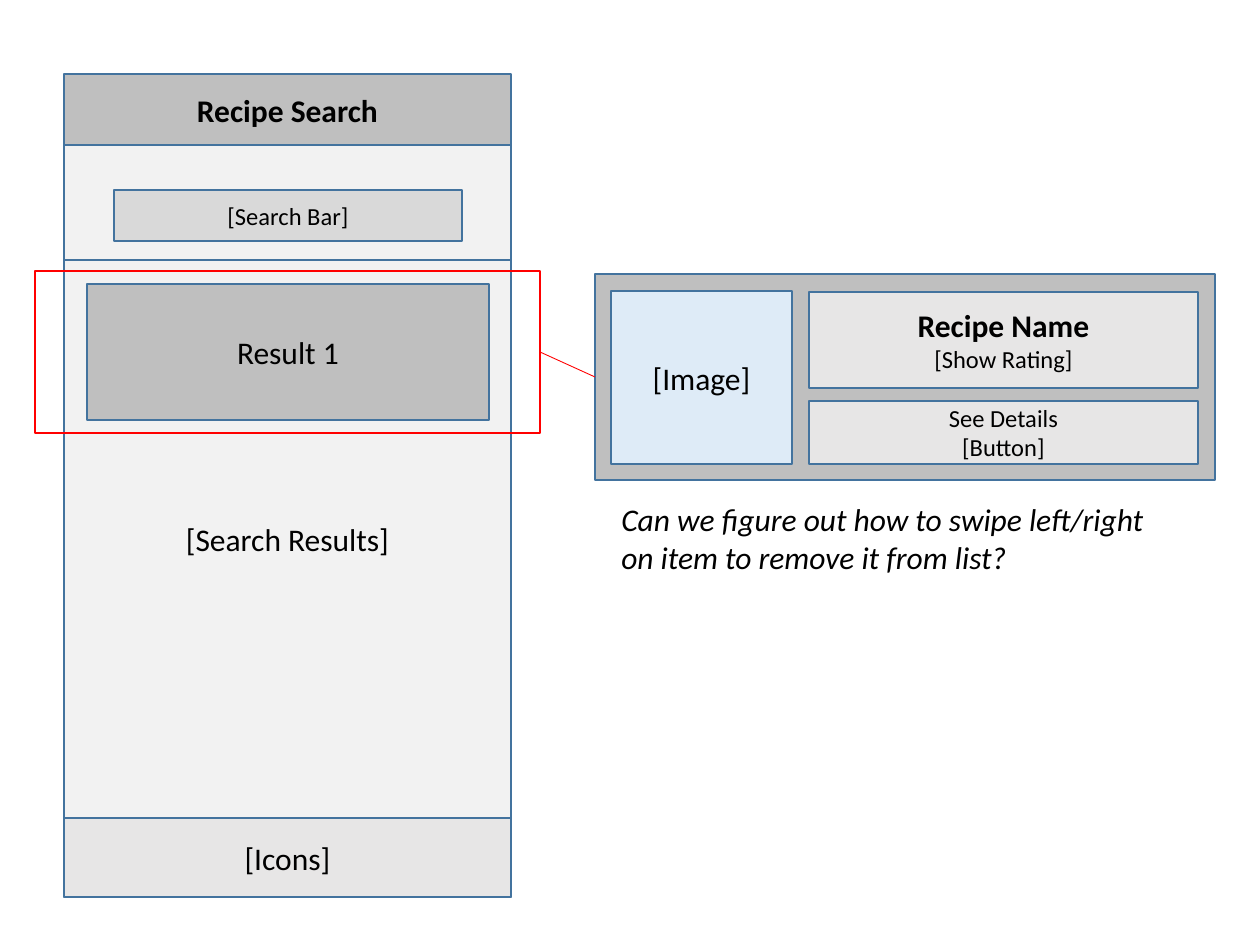
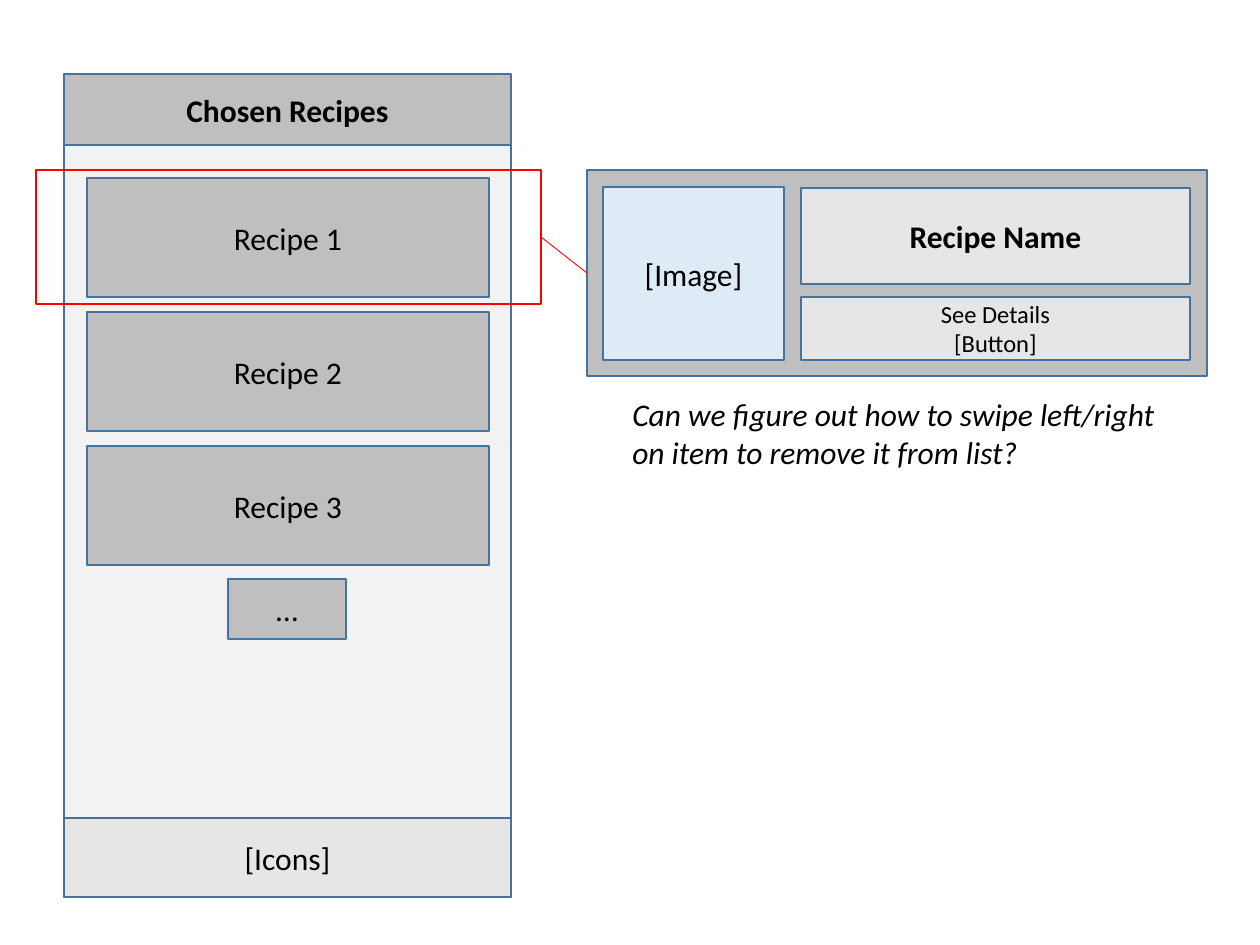
from lxml import etree
from pptx import Presentation
from pptx.dml.color import RGBColor
from pptx.enum.shapes import MSO_CONNECTOR, MSO_SHAPE
from pptx.enum.text import MSO_ANCHOR, MSO_AUTO_SIZE, PP_ALIGN
from pptx.oxml.ns import qn
from pptx.util import Emu, Pt

RECTANGLE = MSO_SHAPE.RECTANGLE
STRAIGHT = MSO_CONNECTOR.STRAIGHT
MIDDLE = MSO_ANCHOR.MIDDLE
FIT_TEXT = MSO_AUTO_SIZE.SHAPE_TO_FIT_TEXT
CENTER = PP_ALIGN.CENTER
LEFT = PP_ALIGN.LEFT

BLACK = RGBColor(0x00, 0x00, 0x00)
OUTLINE = RGBColor(0x43, 0x73, 0x9E)
RED = RGBColor(0xFF, 0x00, 0x00)
SCREEN = RGBColor(0xF2, 0xF2, 0xF2)
FIELD = RGBColor(0xD9, 0xD9, 0xD9)
GREY = RGBColor(0xBF, 0xBF, 0xBF)
PANEL = RGBColor(0xE7, 0xE6, 0xE6)
IMAGE_BLUE = RGBColor(0xDE, 0xEB, 0xF7)

PIXEL = 914400 // 126
FONT = "Calibri"
BODY = {"size": Pt(18), "bold": False, "italic": False}
SMALL = BODY | {"size": Pt(14)}
BOLD = BODY | {"bold": True}
ITALIC = BODY | {"italic": True}

PHONE_LEFT, PHONE_WIDTH = 64, 447
ITEM_LEFT, ITEM_WIDTH = 87, 402
RIGHT_SITE, LEFT_SITE = 3, 1
SWIPE_QUESTION = "Can we figure out how to swipe left/right on item to remove it from list?"


class Wireframe:
    def __init__(self):
        self.presentation = Presentation()
        self.presentation.slide_width = Emu(9144000)
        self.presentation.slide_height = Emu(6858000)
        self.slide = None

    def new_slide(self):
        layout = self.presentation.slide_layouts[6]
        self.slide = self.presentation.slides.add_slide(layout)

    def scale(self, *pixels):
        return [Emu(pixel * PIXEL) for pixel in pixels]

    def add_lines(self, text_frame, lines, alignment):
        text_frame.word_wrap = True
        for index, (text, style) in enumerate(lines):
            paragraph = text_frame.paragraphs[0] if index == 0 else text_frame.add_paragraph()
            paragraph.alignment = alignment
            run = paragraph.add_run()
            run.text = text
            run.font.name = FONT
            run.font.color.rgb = BLACK
            for name, value in style.items():
                setattr(run.font, name, value)

    def box(self, left, top, width, height, fill=None, lines=(), outline=OUTLINE):
        shape = self.slide.shapes.add_shape(RECTANGLE, *self.scale(left, top, width, height))
        shape.shadow.inherit = False
        if fill is None:
            shape.fill.background()
        else:
            shape.fill.solid()
            shape.fill.fore_color.rgb = fill
        shape.line.color.rgb = outline
        shape.line.width = Pt(1)
        shape.text_frame.vertical_anchor = MIDDLE
        self.add_lines(shape.text_frame, lines, CENTER)
        return shape

    def phone(self, title):
        self.box(PHONE_LEFT, 75, PHONE_WIDTH, 822, SCREEN)
        self.box(PHONE_LEFT, 74, PHONE_WIDTH, 71, GREY, [(title, BOLD)])
        self.box(PHONE_LEFT, 818, PHONE_WIDTH, 79, PANEL, [("[Icons]", BODY)])

    def item(self, top, height, text):
        self.box(ITEM_LEFT, top, ITEM_WIDTH, height, GREY, [(text, BODY)])

    def card(self, left, top, name_lines):
        card = self.box(left, top, 620, 206, GREY)
        self.box(left + 16, top + 17, 181, 173, IMAGE_BLUE, [("[Image]", BODY)])
        self.box(left + 214, top + 18, 389, 96, PANEL, name_lines)
        self.box(left + 214, top + 127, 389, 63, PANEL,
                 [("See Details", SMALL), ("[Button]", SMALL)])
        return card

    def callout(self, left, top, height, card):
        frame = self.box(left, top, 505, height, outline=RED)
        connector = self.slide.shapes.add_connector(STRAIGHT, 0, 0, 0, 0)
        connector.begin_connect(frame, RIGHT_SITE)
        connector.end_connect(card, LEFT_SITE)
        connector.line.color.rgb = RED
        connector.line.width = Pt(0.5)
        etree.SubElement(connector.element.spPr, qn("a:effectLst"))

    def note(self, left, top, text):
        text_box = self.slide.shapes.add_textbox(*self.scale(left, top, 554, 89))
        self.add_lines(text_box.text_frame, [(text, ITALIC)], LEFT)
        text_box.text_frame.auto_size = FIT_TEXT


def search_slide(wireframe):
    wireframe.new_slide()
    wireframe.phone("Recipe Search")
    wireframe.box(114, 190, 348, 51, FIELD, [("[Search Bar]", SMALL)])
    wireframe.box(PHONE_LEFT, 260, PHONE_WIDTH, 558, lines=[("[Search Results]", BODY)])
    wireframe.item(284, 136, "Result 1")
    card = wireframe.card(595, 274, [("Recipe Name", BOLD), ("[Show Rating]", SMALL)])
    wireframe.callout(35, 271, 162, card)
    wireframe.note(609, 494, SWIPE_QUESTION)


def chosen_slide(wireframe):
    wireframe.new_slide()
    wireframe.phone("Chosen Recipes")
    for index in range(3):
        wireframe.item(178 + 134 * index, 119, f"Recipe {index + 1}")
    wireframe.box(228, 579, 118, 60, GREY, [("…", BODY)])
    card = wireframe.card(587, 170, [("Recipe Name", BOLD)])
    wireframe.callout(36, 170, 134, card)
    wireframe.note(620, 389, SWIPE_QUESTION)


wireframe = Wireframe()
search_slide(wireframe)
chosen_slide(wireframe)
wireframe.presentation.save("out.pptx")
